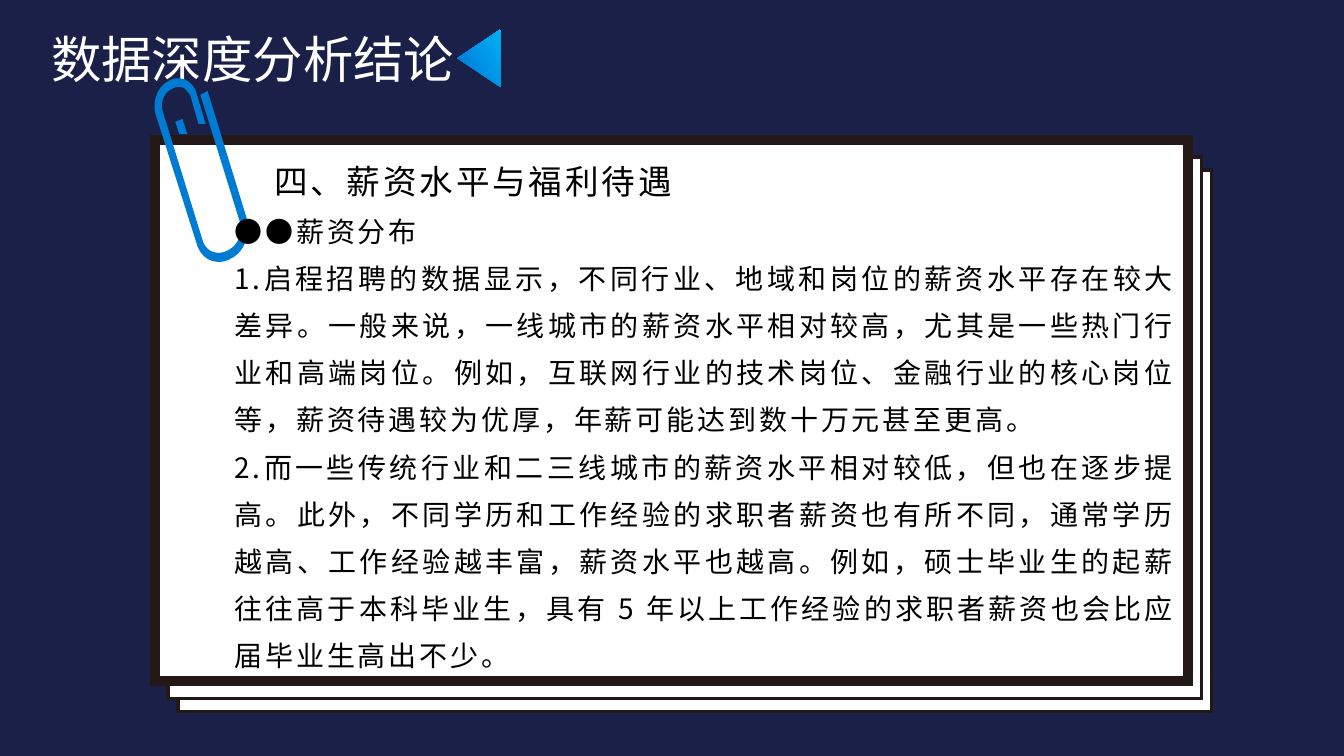
from dataclasses import dataclass

from lxml import etree
from pptx import Presentation
from pptx import util as u
from pptx.dml.color import RGBColor
from pptx.enum import shapes, text
from pptx.oxml import ns

Cm, Pt = u.Cm, u.Pt


@dataclass(frozen=True)
class Theme:
    font: str = "Noto Sans CJK SC"
    navy: str = "1B2049"
    white: str = "FFFFFF"
    black: str = "000000"
    edge: str = "231815"
    clip: str = "007BD4"
    marker: tuple = ("0073D3", "00B0F6")
    title_size: int = 36
    heading_size: int = 24
    body_size: int = 20


THEME = Theme()

# left, top (cm) and edge width (pt), from back to front
SHEETS = [(4.49, 4.29, 2.5), (4.24, 3.96, 2.5), (3.9, 3.53, 7)]
SHEET_SIZE = (26.04, 13.64)

# Steps in cm: one point is a straight line, three points are a Bézier curve
CLIP_WIRE = [
    [(5.51, 6.6)],
    [(5.26, 6.6), (5.03, 6.43), (4.95, 6.12)],
    [(3.91, 2.84)],
    [(3.84, 2.51), (3.99, 2.16), (4.27, 2.03)],
    [(4.39, 1.96), (4.55, 1.96), (4.67, 2.01)],
    [(4.8, 2.08), (4.9, 2.18), (4.95, 2.34)],
    [(5.18, 3.12)],
    [(5.0, 3.12)],
    [(4.8, 2.41)],
    [(4.75, 2.34), (4.7, 2.26), (4.62, 2.21)],
    [(4.52, 2.18), (4.42, 2.18), (4.34, 2.24)],
    [(4.14, 2.31), (4.04, 2.57), (4.09, 2.77)],
    [(5.11, 6.07)],
    [(5.18, 6.32), (5.46, 6.45), (5.72, 6.32)],
    [(5.99, 6.2), (6.12, 5.89), (6.05, 5.61)],
    [(5.05, 2.39)],
    [(5.23, 2.29)],
    [(6.22, 5.51)],
    [(6.32, 5.92), (6.15, 6.38), (5.79, 6.53)],
    [(5.69, 6.58), (5.61, 6.6), (5.51, 6.6)],
]
CLIP_TIP = [[(4.52, 3.38)], [(4.42, 3.07)], [(4.6, 3.0)], [(4.72, 3.38)]]

HEADING = "四、薪资水平与福利待遇"
BODY = [
    "●●薪资分布",
    "1.启程招聘的数据显示，不同行业、地域和岗位的薪资水平存在较大差异。"
    "一般来说，一线城市的薪资水平相对较高，尤其是一些热门行业和高端岗位。"
    "例如，互联网行业的技术岗位、金融行业的核心岗位等，薪资待遇较为优厚，"
    "年薪可能达到数十万元甚至更高。",
    "2.而一些传统行业和二三线城市的薪资水平相对较低，但也在逐步提高。"
    "此外，不同学历和工作经验的求职者薪资也有所不同，通常学历越高、"
    "工作经验越丰富，薪资水平也越高。例如，硕士毕业生的起薪往往高于本科毕业生，"
    "具有 5 年以上工作经验的求职者薪资也会比应届毕业生高出不少。",
]


def rgb(colour):
    return RGBColor.from_string(colour)


def paint(shape, colour):
    shape.shadow.inherit = False
    shape.fill.solid()
    shape.fill.fore_color.rgb = rgb(colour)
    shape.line.fill.background()


def add_sheet(page, left, top, edge):
    box = page.shapes.add_shape(shapes.MSO_SHAPE.RECTANGLE, Cm(left), Cm(top),
                                *map(Cm, SHEET_SIZE))
    paint(box, THEME.white)
    box.line.color.rgb = rgb(THEME.edge)
    box.line.width = Pt(edge)
    outline = box._element.spPr.find(ns.qn("a:ln"))
    etree.SubElement(outline, ns.qn("a:miter"), lim="800000")


def flatten(steps, parts=10):
    """Turn lines and Bézier curves into a list of points."""
    points = []
    for step in steps:
        if len(step) == 1:
            points += step
            continue
        corners = [points[-1], *step]
        for i in range(1, parts + 1):
            t = i / parts
            weights = ((1 - t) ** 3, 3 * t * (1 - t) ** 2, 3 * t * t * (1 - t), t ** 3)
            points.append(tuple(sum(w * corner[axis] for w, corner in zip(weights, corners))
                                for axis in (0, 1)))
    return points


def add_outline(page, steps, colour):
    start, *others = [(Cm(x), Cm(y)) for x, y in flatten(steps)]
    builder = page.shapes.build_freeform(*start)
    builder.add_line_segments(others, close=True)
    paint(builder.convert_to_shape(), colour)


def add_marker(page):
    marker = page.shapes.add_shape(shapes.MSO_SHAPE.ISOSCELES_TRIANGLE,
                                   Cm(11.34), Cm(0.92), Cm(1.45), Cm(1.09))
    marker.rotation = 270
    paint(marker, THEME.marker[0])
    marker.fill.gradient()
    marker.fill.gradient_angle = 300
    for stop, colour in zip(marker.fill.gradient_stops, THEME.marker):
        stop.color.rgb = rgb(colour)


def add_text_box(page, left, top, width, height):
    box = page.shapes.add_textbox(Cm(left), Cm(top), Cm(width), Cm(height))
    box.text_frame.word_wrap = True
    return box.text_frame


def write(para, words, size, colour, spacing=0, indent=0, **layout):
    """Fill a paragraph; spacing is between letters in points, indent in cm."""
    for name, value in layout.items():
        setattr(para, name, value)
    if indent:
        para._p.get_or_add_pPr().set("indent", str(Cm(indent)))
    span = para.add_run()
    span.text = words
    span.font.color.rgb = rgb(colour)
    for name, value in {"size": Pt(size), "name": THEME.font}.items():
        setattr(span.font, name, value)
    props = span._r.get_or_add_rPr()
    props.set("spc", str(spacing * 100))
    etree.SubElement(props, ns.qn("a:ea"), typeface=THEME.font)


def add_title(page):
    frame = add_text_box(page, 1.04, 0.58, 22.43, 3.81)
    write(frame.paragraphs[0], "数据深度分析结论", THEME.title_size, THEME.white)


def add_findings(page):
    frame = add_text_box(page, 5.66, 3.53, 24.21, 13.21)
    layout = {"spacing": 2, "line_spacing": 1.4, "alignment": text.PP_ALIGN.JUSTIFY}
    write(frame.paragraphs[0], HEADING, THEME.heading_size, THEME.black,
          indent=1, **layout)
    for words in BODY:
        write(frame.add_paragraph(), words, THEME.body_size, THEME.black, **layout)


def main():
    deck = Presentation()
    deck.slide_width, deck.slide_height = Cm(33.87), Cm(19.05)
    page = deck.slides.add_slide(deck.slide_layouts[6])
    page.background.fill.solid()
    page.background.fill.fore_color.rgb = rgb(THEME.navy)
    add_title(page)
    add_marker(page)
    for sheet in SHEETS:
        add_sheet(page, *sheet)
    for steps in (CLIP_TIP, CLIP_WIRE):
        add_outline(page, steps, THEME.clip)
    add_findings(page)
    deck.save("out.pptx")


if __name__ == "__main__":
    main()
